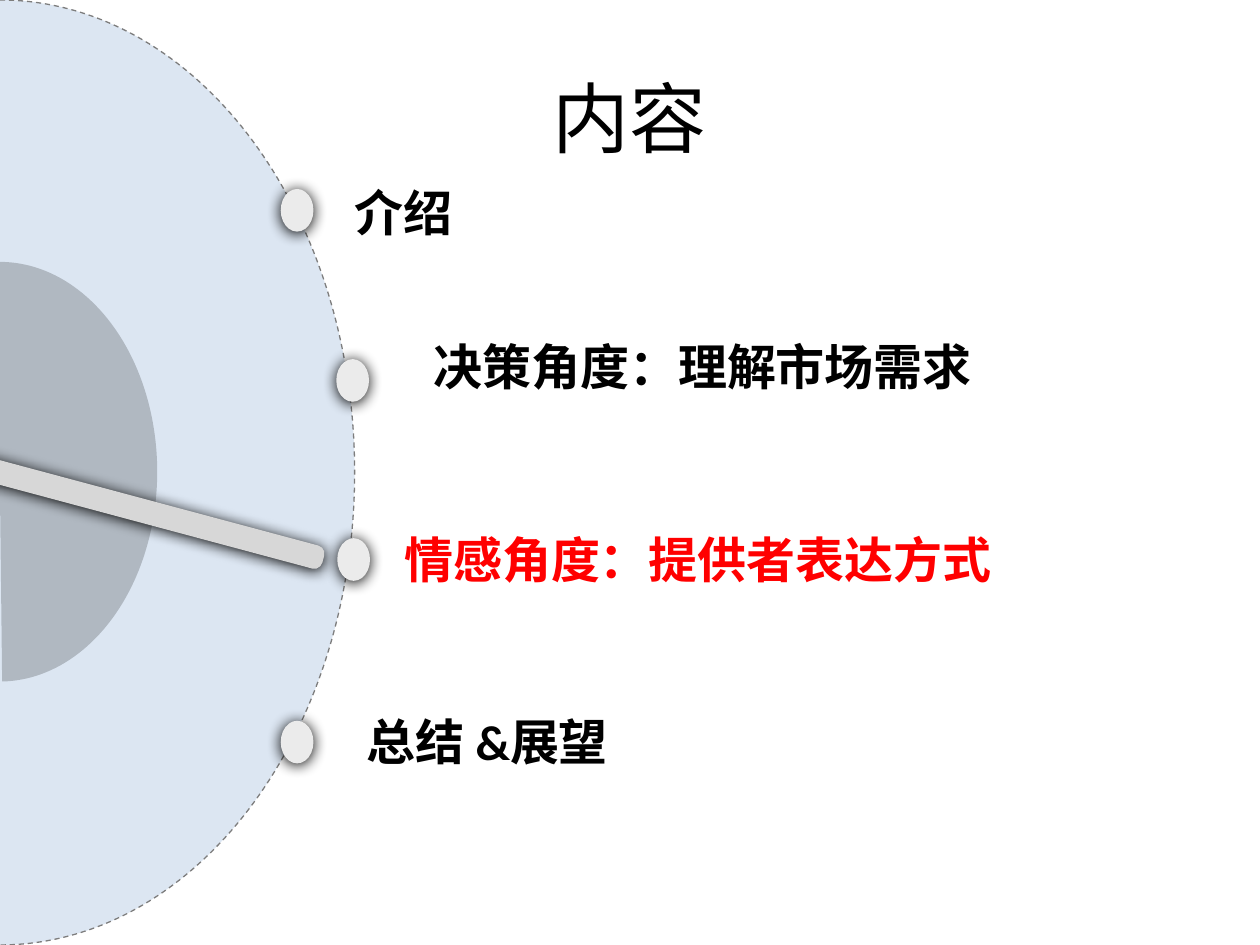
from lxml.etree import SubElement
from pptx import Presentation
from pptx.dml.color import RGBColor
from pptx.enum.dml import MSO_LINE
from pptx.enum.shapes import MSO_SHAPE as Shape
from pptx.enum.text import MSO_ANCHOR as Anchor, MSO_AUTO_SIZE as AutoSize, PP_ALIGN as Align
from pptx.oxml.ns import qn
from pptx.util import Cm, Pt

COLORS = {
    "disc": "DCE6F2",
    "outline": "7D7D7D",
    "dot": "EBEBEB",
    "hand": "D7D7D7",
    "text": "000000",
    "current": "FF0000",
    "shade": "000000",
}
FONT = "Calibri"
ITEM_WIDTH, ITEM_HEIGHT = 15.24, 1.45
DOT_WIDTH, DOT_HEIGHT = 0.66, 0.86

# Wording, colour, text left, top and width, then dot left and top, in cm
ITEMS = [
    ("介绍", "text", 6.9, 3.55, ITEM_WIDTH, 5.66, 3.81),
    ("决策角度：理解市场需求", "text", 8.49, 6.65, ITEM_WIDTH, 6.78, 7.24),
    ("情感角度：提供者表达方式", "current", 7.9, 10.54, ITEM_WIDTH, 6.8, 10.85),
    ("总结 &展望", "text", 7.14, 14.22, 5.59, 5.66, 14.53),
]


def rgb(name):
    return RGBColor.from_string(COLORS[name])


def add_filled(slide, preset, box, color):
    shape = slide.shapes.add_shape(preset, *map(Cm, box))
    shape.shadow.inherit = False
    shape.fill.solid()
    shape.fill.fore_color.rgb = rgb(color)
    shape.line.fill.background()
    return shape


def add_half_disc(slide, box, color, end):
    shape = add_filled(slide, Shape.ARC, box, color)
    shape.adjustments[0] = 162
    shape.adjustments[1] = end
    return shape


def set_opacity(shape, percent):
    color = shape._element.spPr.find(f"{qn('a:solidFill')}/{qn('a:srgbClr')}")
    SubElement(color, qn("a:alpha"), val=str(percent * 1000))


def add_shadow(shape):
    effects = shape._element.spPr.find(qn("a:effectLst"))
    shadow = SubElement(effects, qn("a:outerShdw"), blurRad=str(Pt(8.5)),
                        dist=str(Pt(1)), dir="5400000", algn="ctr", rotWithShape="0")
    SubElement(shadow, qn("a:srgbClr"), val=COLORS["shade"])


def add_text(slide, box, text, size, color="text", bold=False, align=Align.LEFT):
    shape = slide.shapes.add_textbox(*map(Cm, box))
    frame = shape.text_frame
    frame.word_wrap = True
    frame.vertical_anchor = Anchor.MIDDLE
    paragraph = frame.paragraphs[0]
    paragraph.alignment = align
    run = paragraph.add_run()
    run.text = text
    run.font.name = FONT
    run.font.size = Pt(size)
    run.font.bold = bold
    run.font.color.rgb = rgb(color)
    return frame


def add_item(slide, text, color, left, top, width, dot_left, dot_top):
    frame = add_text(slide, (left, top, width, ITEM_HEIGHT), text, 28, color, bold=True)
    frame.auto_size = AutoSize.SHAPE_TO_FIT_TEXT
    dot_box = (dot_left, dot_top, DOT_WIDTH, DOT_HEIGHT)
    add_shadow(add_filled(slide, Shape.OVAL, dot_box, "dot"))


def main():
    presentation = Presentation()
    presentation.slide_width, presentation.slide_height = Cm(25.4), Cm(19.05)
    slide = presentation.slides.add_slide(presentation.slide_layouts[6])

    # Dial: large dashed half disc and translucent inner one
    dial = add_half_disc(slide, (-7.15, 0, 14.3, 19.05), "disc", 54.07)
    dial.line.color.rgb = rgb("outline")
    dial.line.width = Pt(0.75)
    dial.line.dash_style = MSO_LINE.DASH
    hub = add_half_disc(slide, (-3.18, 5.28, 6.35, 8.46), "shade", 53.6)
    set_opacity(hub, 20)

    # Hand pointing at the current item
    hand = add_filled(slide, Shape.ROUNDED_RECTANGLE, (2.46, 6.3, 0.48, 7.9), "hand")
    hand.adjustments[0] = 0.35
    hand.rotation = 105
    add_shadow(hand)

    # Title and agenda items
    add_text(slide, (1.27, 0.76, 22.86, 3.18), "内容", 44, align=Align.CENTER)
    for item in ITEMS:
        add_item(slide, *item)

    presentation.save("out.pptx")


if __name__ == "__main__":
    main()
